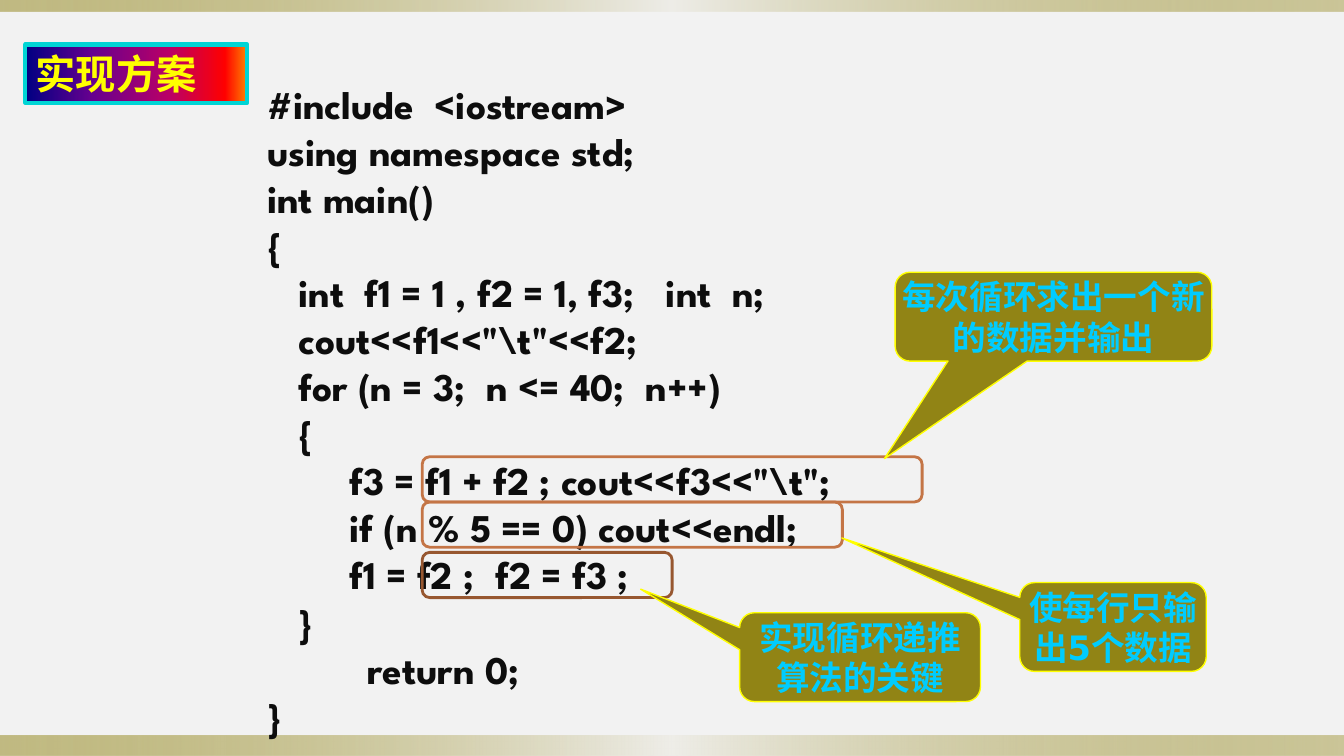
from dataclasses import dataclass

from lxml import etree
from pptx import Presentation
from pptx import util as u
from pptx.dml.color import RGBColor
from pptx.enum import shapes, text
from pptx.oxml.ns import qn

# ---- Content ----
HEADING = "实现方案"

# (indent in cm, code line)
OUTER, BLOCK, INNER, TAB = 0, 0.79, 2.08, 2.54
CODE = [
    (OUTER, "#include  <iostream>"),
    (OUTER, "using namespace std;"),
    (OUTER, "int main()"),
    (OUTER, "{"),
    (BLOCK, "int  f1 = 1 , f2 = 1, f3;   int  n;"),
    (BLOCK, 'cout<<f1<<"\\t"<<f2;'),
    (BLOCK, "for (n = 3;  n <= 40;  n++)"),
    (BLOCK, "{"),
    (INNER, 'f3 = f1 + f2 ; cout<<f3<<"\\t";'),
    (INNER, "if (n % 5 == 0) cout<<endl;"),
    (INNER, "f1 = f2 ;  f2 = f3 ;"),
    (BLOCK, "}"),
    (TAB, "return 0;"),
    (OUTER, "}"),
]

# Each remark: frame (top, width), frame colour, callout (left, top, width), tip, words
REMARKS = [
    ((11.51, 12.6), "C47546", (22.56, 6.86, 7.98), (-0.534, 1.597),
     "每次循环求出一个新的数据并输出"),
    ((12.65, 10.59), "C47546", (25.7, 14.68, 4.7), (-1.454, -1.001),
     "使每行只输出5个数据"),
    ((13.92, 6.3), "975730", (18.64, 15.44, 6.07), (-0.911, -0.765),
     "实现循环递推算法的关键"),
]
FRAME_LEFT, FRAME_HEIGHT, CALLOUT_HEIGHT = 10.64, 1.14, 2.24
CORNER = 0.167


@dataclass(frozen=True)
class Theme:
    background: str = "F2F2F2"
    heading: str = "FFFF00"
    heading_border: str = "00D5D5"
    code: str = "0D0D0D"
    callout: str = "918415"
    callout_border: str = "FFFF00"
    callout_text: str = "00CCFF"
    # gradient stops: position %, colour, opacity %
    band: tuple = ((0, "918415", 50), (50, "EEEDE8", 100), (100, "918415", 40))
    rainbow: tuple = ((0, "000082", 100), (30, "66008F", 100), (65, "BA0066", 100),
                      (90, "FF0000", 100), (100, "FF8200", 100))
    heading_font: str = "Karla"
    code_font: str = "League Spartan"
    callout_font: str = "DejaVu Sans"
    heading_size: float = 28.8
    code_size: float = 28
    code_pitch: float = 33.6
    callout_size: float = 24


THEME = Theme()


# ---- Helpers ----
def cm_box(*lengths):
    return [u.Cm(length) for length in lengths]


def place(shape, *lengths):
    shape.left, shape.top, shape.width, shape.height = cm_box(*lengths)


def set_insets(frame, left, top, right, bottom):
    frame.margin_left, frame.margin_top, frame.margin_right, frame.margin_bottom = \
        cm_box(left, top, right, bottom)


def set_line(shape, color, points):
    shape.line.color.rgb = RGBColor.from_string(color)
    shape.line.width = u.Pt(points)


def set_font(paragraph, name, size, color):
    font = paragraph.font
    font.name, font.size, font.bold = name, u.Pt(size), True
    font.color.rgb = RGBColor.from_string(color)


def fill_gradient(shape, stops):
    shape.fill.gradient()
    shape.fill.gradient_angle = 0
    stop_list = next(shape._element.spPr.iter(qn("a:gsLst")))
    for old_stop in list(stop_list):
        stop_list.remove(old_stop)
    for position, color, opacity in stops:
        stop = etree.SubElement(stop_list, qn("a:gs"), pos=str(position * 1000))
        rgb = etree.SubElement(stop, qn("a:srgbClr"), val=color)
        if opacity < 100:
            etree.SubElement(rgb, qn("a:alpha"), val=str(opacity * 1000))


def add_plain(slide, preset, *lengths):
    shape = slide.shapes.add_shape(preset, *cm_box(*lengths))
    shape.shadow.inherit = False
    return shape


# ---- Parts ----
def add_bands(slide):
    for depth, (top, height) in enumerate([(18.54, 0.51), (0, 0.3)]):
        band = add_plain(slide, shapes.MSO_SHAPE.RECTANGLE, 0, top, 33.87, height)
        fill_gradient(band, THEME.band)
        band.line.fill.background()
        slide.shapes._spTree.insert(2 + depth, band._element)  # behind the text


def add_heading(slide):
    heading = slide.shapes.title
    place(heading, 0.64, 1.12, 5.59, 1.47)
    fill_gradient(heading, THEME.rainbow)
    set_line(heading, THEME.heading_border, 3)
    frame = heading.text_frame
    frame.text = HEADING
    frame.auto_size = text.MSO_AUTO_SIZE.NONE
    frame.vertical_anchor = text.MSO_ANCHOR.MIDDLE
    frame.paragraphs[0].alignment = text.PP_ALIGN.LEFT
    set_font(frame.paragraphs[0], THEME.heading_font, THEME.heading_size, THEME.heading)


def add_code(slide):
    listing = slide.placeholders[1]
    place(listing, 6.22, 1.32, 23.04, 17.12)
    frame = listing.text_frame
    frame.text = "\n".join(line for _, line in CODE)
    frame.auto_size = text.MSO_AUTO_SIZE.NONE
    frame.vertical_anchor = text.MSO_ANCHOR.TOP
    set_insets(frame, 0.51, 0.71, 0.51, 0.79)
    for paragraph, (indent, _) in zip(frame.paragraphs, CODE):
        properties = paragraph._p.get_or_add_pPr()
        properties.set("marL", str(u.Cm(indent)))
        properties.set("indent", "0")
        etree.SubElement(properties, qn("a:buNone"))
        paragraph.space_before = u.Pt(0)
        paragraph.line_spacing = u.Pt(THEME.code_pitch)
        set_font(paragraph, THEME.code_font, THEME.code_size, THEME.code)


def add_remark(slide, code_span, frame_color, spot, tip, words):
    # Frame around the code
    top, width = code_span
    outline = add_plain(slide, shapes.MSO_SHAPE.ROUNDED_RECTANGLE,
                        FRAME_LEFT, top, width, FRAME_HEIGHT)
    outline.adjustments[0] = CORNER
    outline.fill.background()
    set_line(outline, frame_color, 2)

    # Callout pointing at the frame
    callout = add_plain(slide, shapes.MSO_SHAPE.ROUNDED_RECTANGULAR_CALLOUT,
                        *spot, CALLOUT_HEIGHT)
    for index, value in enumerate((*tip, CORNER)):
        callout.adjustments[index] = value
    callout.fill.solid()
    callout.fill.fore_color.rgb = RGBColor.from_string(THEME.callout)
    set_line(callout, THEME.callout_border, 1)
    frame = callout.text_frame
    frame.text = words
    frame.word_wrap = True
    frame.vertical_anchor = text.MSO_ANCHOR.MIDDLE
    set_insets(frame, 0, 0.1, 0, 0.1)
    frame.paragraphs[0].alignment = text.PP_ALIGN.CENTER
    set_font(frame.paragraphs[0], THEME.callout_font, THEME.callout_size,
             THEME.callout_text)


def main():
    deck = Presentation()
    deck.slide_width, deck.slide_height = cm_box(33.87, 19.05)
    slide = deck.slides.add_slide(deck.slide_layouts[1])
    slide.background.fill.solid()
    slide.background.fill.fore_color.rgb = RGBColor.from_string(THEME.background)
    add_bands(slide)
    add_heading(slide)
    add_code(slide)
    for remark in REMARKS:
        add_remark(slide, *remark)
    deck.save("out.pptx")


if __name__ == "__main__":
    main()
